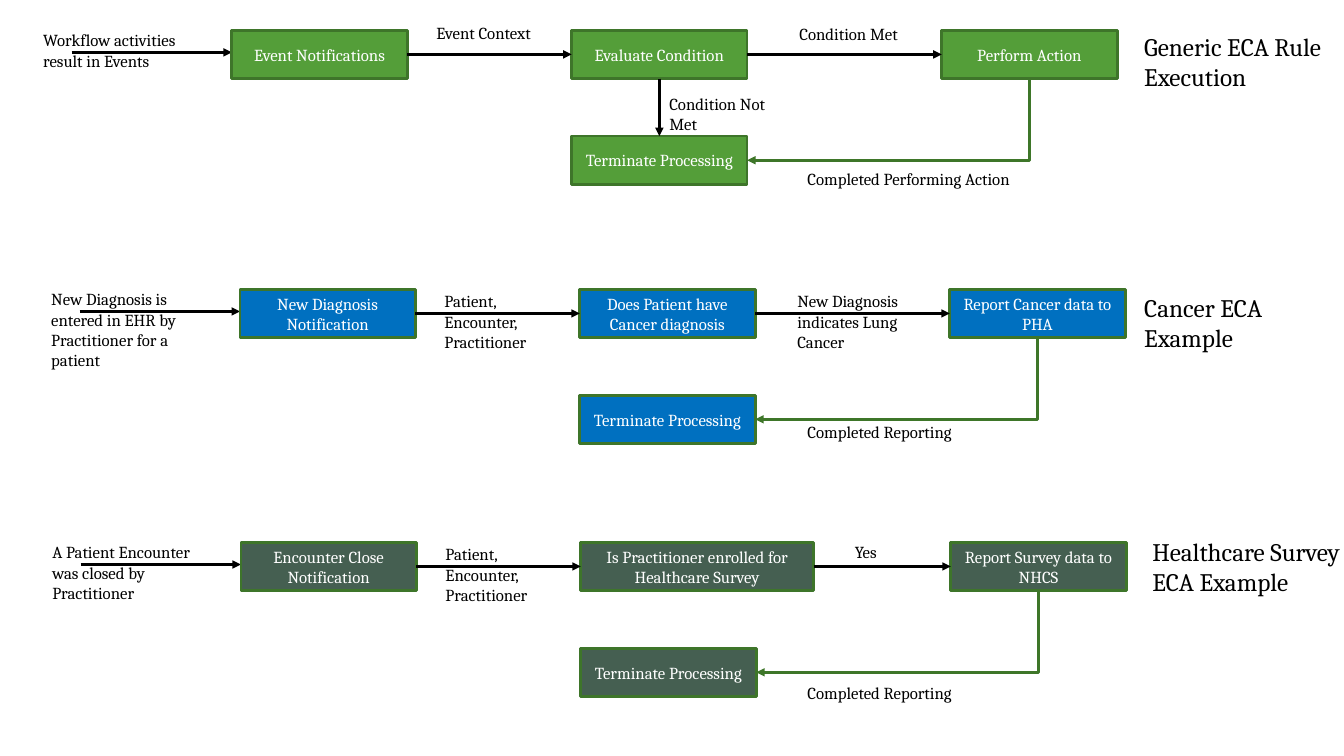
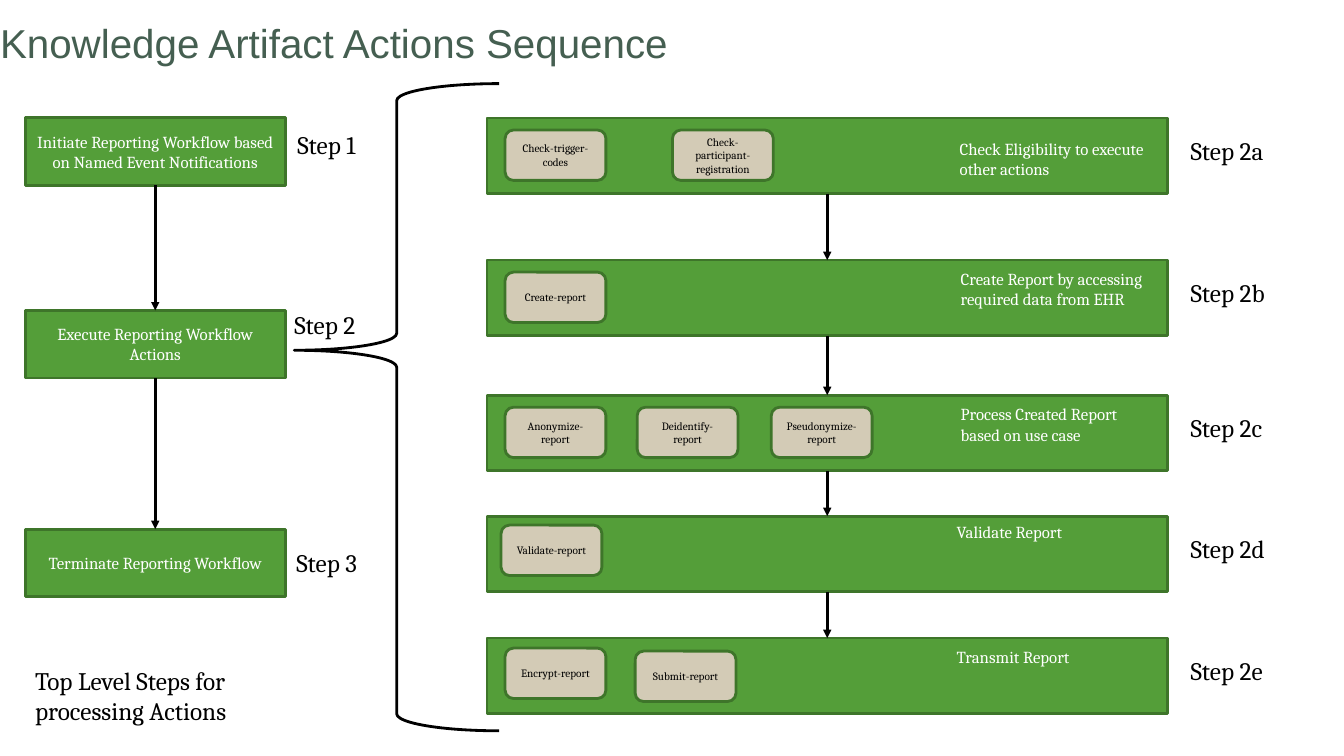
from lxml import etree
from pptx import Presentation
from pptx.dml.color import RGBColor
from pptx.enum.shapes import MSO_CONNECTOR, MSO_SHAPE
from pptx.enum.text import MSO_ANCHOR, MSO_AUTO_SIZE, PP_ALIGN
from pptx.oxml.ns import qn
from pptx.util import Inches, Pt

RECT = MSO_SHAPE.RECTANGLE
ROUND = MSO_SHAPE.ROUNDED_RECTANGLE
BRACE = MSO_SHAPE.LEFT_BRACE
STRAIGHT = MSO_CONNECTOR.STRAIGHT
ELBOW = MSO_CONNECTOR.ELBOW
LEFT, CENTER = PP_ALIGN.LEFT, PP_ALIGN.CENTER
MIDDLE, BOTTOM = MSO_ANCHOR.MIDDLE, MSO_ANCHOR.BOTTOM
FIT, FIXED = MSO_AUTO_SIZE.SHAPE_TO_FIT_TEXT, MSO_AUTO_SIZE.NONE

FONT, HEAD = "Cambria", "Arial"
BLACK, WHITE = "000000", "FFFFFF"
GREEN, BLUE, SLATE, SAND = "549E39", "0070C0", "455F51", "D3CBB6"
EDGE, RETURN = "3E752A", "3E7629"
TOP_SITE, LEFT_SITE, LOW_SITE, RIGHT_SITE = range(4)
BOX_W, BOX_H = 1.74, 0.48

FLOWS = [
    {
        "at": (0.33, 0.3), "fill": GREEN, "wide": BOX_W,
        "start": "Workflow activities result in Events",
        "boxes": ["Event Notifications", "Evaluate Condition", "Perform Action"],
        "notes": [
            ("Event Context", 3.9, -0.12, 1.33),
            ("Condition Met", 7.5, -0.11, 1.33),
            ("Condition Not Met", 6.21, 0.58, 1.33),
            ("Completed Performing Action", 7.58, 1.32, 2.52),
        ],
        "name": ("Generic ECA Rule Execution", 10.92, -0.04),
        "stop": True,
    },
    {
        "at": (0.41, 2.87), "fill": BLUE, "wide": BOX_W,
        "start": "New Diagnosis is entered in EHR by Practitioner for a patient",
        "boxes": ["New Diagnosis Notification", "Does Patient have Cancer diagnosis",
                  "Report Cancer data to PHA"],
        "notes": [
            ("Patient, Encounter, Practitioner", 3.9, -0.03, 1.33),
            ("New Diagnosis indicates Lung Cancer", 7.4, -0.03, 1.33),
            ("Completed Reporting", 7.5, 1.26, 2.52),
        ],
        "name": ("Cancer ECA Example", 10.84, -0.02),
        "stop": False,
    },
    {
        "at": (0.42, 5.38), "fill": SLATE, "wide": 2.31,
        "start": "A Patient Encounter was closed by Practitioner",
        "boxes": ["Encounter Close Notification",
                  "Is Practitioner enrolled for Healthcare Survey",
                  "Report Survey data to NHCS"],
        "notes": [
            ("Patient, Encounter, Practitioner", 3.9, -0.03, 1.33),
            ("Yes", 7.96, -0.05, 0.72),
            ("Completed Reporting", 7.49, 1.34, 2.52),
        ],
        "name": ("Healthcare Survey ECA Example", 10.91, -0.11),
        "stop": False,
    },
]

STEPS = [
    ("Initiate Reporting Workflow based on Named Event Notifications", 1.17,
     "Step 1", 2.6, 0.06),
    ("Execute Reporting Workflow Actions", 3.08, "Step 2", 2.57, -0.06),
    ("Terminate Reporting Workflow", 5.25, "Step 3", 2.59, 0.13),
]

BANDS = [
    ("Step 2a", 1.17, "Check Eligibility to execute other actions", 4.59, 0.16,
     [("Check-trigger-codes", 0.18, 0.12),
      ("Check-participant-registration", 1.84, 0.12)]),
    ("Step 2b", 2.58, "Create Report by accessing required data from EHR", 4.6, 0.04,
     [("Create-report", 0.18, 0.12)]),
    ("Step 2c", 3.92, "Process Created Report based on use case", 4.6, 0.04,
     [("Anonymize-report", 0.18, 0.12), ("Deidentify-report", 1.49, 0.12),
      ("Pseudonymize-report", 2.82, 0.12)]),
    ("Step 2d", 5.12, "Validate Report", 4.56, 0.01,
     [("Validate-report", 0.14, 0.09)]),
    ("Step 2e", 6.33, "Transmit Report", 4.56, 0.04,
     [("Encrypt-report", 0.18, 0.1), ("Submit-report", 1.47, 0.13)]),
]


def tint(code):
    return RGBColor.from_string(code)


def assign(item, values):
    for key, value in values.items():
        setattr(item, key, value)


def write(frame, text, size, color, align=LEFT, font=FONT):
    part = frame.paragraphs[0]
    part.alignment = align
    run = part.add_run()
    run.text = text
    assign(run.font, {"name": font, "size": Pt(size)})
    run.font.color.rgb = tint(color)


def label(slide, text, x, y, w, h=0.3, size=12, color=BLACK, wrap=True):
    frame = slide.shapes.add_textbox(
        Inches(x), Inches(y), Inches(w), Inches(h)).text_frame
    assign(frame, {"word_wrap": wrap, "auto_size": FIT})
    write(frame, text, size, color)


def outline(item, color):
    item.line.color.rgb = tint(color)
    item.line.width = Pt(2)


def box(slide, text, x, y, w, h, fill=None, kind=RECT, size=12, ink=WHITE, edge=EDGE):
    item = slide.shapes.add_shape(kind, Inches(x), Inches(y), Inches(w), Inches(h))
    item.shadow.inherit = False
    if fill:
        item.fill.solid()
        item.fill.fore_color.rgb = tint(fill)
    else:
        item.fill.background()
    outline(item, edge)
    if text:
        assign(item.text_frame, {"word_wrap": True, "vertical_anchor": MIDDLE})
        write(item.text_frame, text, size, ink, CENTER)
    return item


def arrow(slide, kind=STRAIGHT, color=BLACK, ends=(0, 0, 0, 0)):
    item = slide.shapes.add_connector(kind, *map(Inches, ends))
    outline(item, color)
    etree.SubElement(item.line._get_or_add_ln(), qn("a:tailEnd")).set("type", "triangle")
    etree.SubElement(item.element.spPr, qn("a:effectLst"))
    return item


def join(slide, first, out, last, into):
    item = arrow(slide)
    item.begin_connect(first, out)
    item.end_connect(last, into)


def turn(slide, first, last):
    item = arrow(slide, ELBOW, RETURN)
    item.begin_connect(first, LOW_SITE)
    item.end_connect(last, RIGHT_SITE)
    run, drop = item.width, item.height
    mid_x, mid_y = item.left + run // 2, item.top + drop // 2
    assign(item, {"left": mid_x - drop // 2, "top": mid_y - run // 2,
                  "width": drop, "height": run})
    frame = item.element.spPr.find(qn("a:xfrm"))
    frame.attrib.pop("flipH", None)
    frame.set("rot", str(90 * 60000))
    item.element.spPr.find(qn("a:prstGeom")).set("prst", "bentConnector2")


def flow(slide, data):
    x, y = data["at"]
    fill = data["fill"]
    arrow(slide, ends=(x + 0.38, y + 0.22, x + 1.97, y + 0.22))
    label(slide, data["start"], x, y - 0.05, 1.78)
    widths = (BOX_W, data["wide"], BOX_W)
    event, test, act = [
        box(slide, text, x + dx, y, w, BOX_H, fill)
        for text, dx, w in zip(data["boxes"], (1.97, 5.34, 9.01), widths)]
    end = box(slide, "Terminate Processing", x + 5.34, y + 1.05, BOX_W, BOX_H, fill)
    join(slide, event, RIGHT_SITE, test, LEFT_SITE)
    join(slide, test, RIGHT_SITE, act, LEFT_SITE)
    if data["stop"]:
        join(slide, test, LOW_SITE, end, TOP_SITE)
    turn(slide, act, end)
    for text, dx, dy, w in data["notes"]:
        label(slide, text, x + dx, y + dy, w)
    text, dx, dy = data["name"]
    label(slide, text, x + dx, y + dy, 2.08, 0.71, 18)


def chain(slide, items):
    for first, last in zip(items, items[1:]):
        join(slide, first, LOW_SITE, last, TOP_SITE)


def steps(slide, x):
    items = []
    for text, y, name, dx, dy in STEPS:
        items.append(box(slide, text, x, y, 2.58, 0.67, GREEN))
        label(slide, name, x + dx, y + dy, 0.85, 0.4, 18, wrap=False)
    chain(slide, items)
    label(slide, "Top Level Steps for processing Actions", x, 6.55, 2.67, 0.71, 18)


def band(slide, x, y, name, text, dx, dy, chips):
    item = box(slide, "", x, y, 6.75, 0.75, GREEN)
    for chip, left, top in chips:
        box(slide, chip, x + left, y + top, 1, 0.5, SAND, ROUND, 8, BLACK)
    label(slide, text, x + dx, y + dy, 2.08, color=WHITE)
    label(slide, name, x + 6.88, y + 0.12, 0.98, 0.4, 18, wrap=False)
    return item


def title(slide, text):
    item = slide.shapes.title
    assign(item, {"left": Inches(0), "top": Inches(0.08),
                  "width": Inches(12), "height": Inches(0.58)})
    assign(item.text_frame, {
        "margin_left": 0, "margin_right": 0, "margin_bottom": 0,
        "margin_top": Inches(0.05), "vertical_anchor": BOTTOM,
        "auto_size": FIXED, "word_wrap": True})
    write(item.text_frame, text, 28.8, SLATE, font=HEAD)


def rules(deck):
    slide = deck.slides.add_slide(deck.slide_layouts[6])
    for data in FLOWS:
        flow(slide, data)


def actions(deck):
    slide = deck.slides.add_slide(deck.slide_layouts[5])
    title(slide, "Knowledge Artifact Actions Sequence")
    steps(slide, 0.25)
    brace = box(slide, "", 2.92, 0.83, 2.03, 6.42, kind=BRACE, edge=BLACK)
    brace.adjustments[0] = 0.083
    brace.adjustments[1] = 0.412
    chain(slide, [band(slide, 4.83, y, name, text, dx, dy, chips)
                  for name, y, text, dx, dy, chips in BANDS])


def main():
    deck = Presentation()
    assign(deck, {"slide_width": Inches(13.33), "slide_height": Inches(7.5)})
    rules(deck)
    actions(deck)
    deck.save("out.pptx")


if __name__ == "__main__":
    main()
